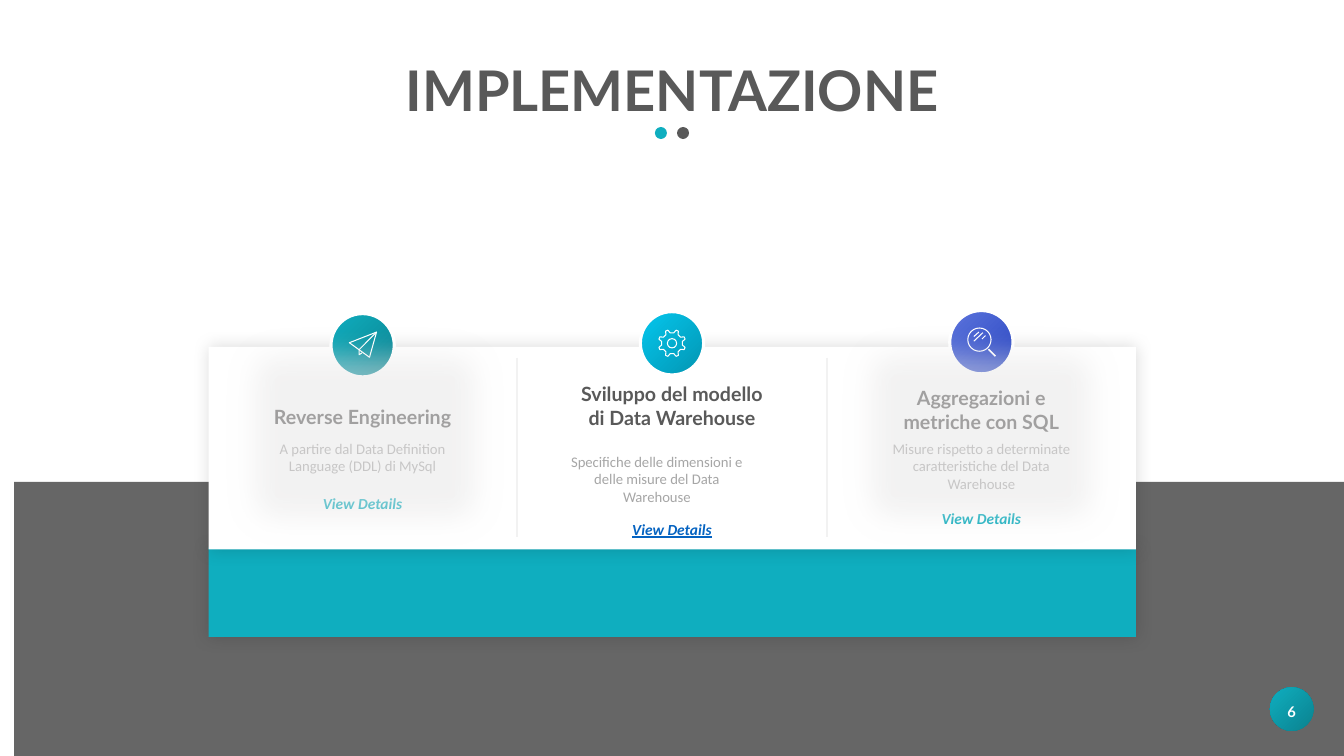
import math
from dataclasses import dataclass

import pptx
import pptx.dml.color
import pptx.enum.shapes
import pptx.enum.text
import pptx.oxml
import pptx.oxml.ns
import pptx.util

Pt = pptx.util.Pt
qn = pptx.oxml.ns.qn
SHAPES = pptx.enum.shapes.MSO_SHAPE
NAMESPACE = 'xmlns:a="http://schemas.openxmlformats.org/drawingml/2006/main"'

TEAL, GREY, WHITE, PALE = "0FAEBF", "595959", "FFFFFF", "A6A6A6"
TEAL_GRADIENT = (TEAL, "0B828F")
SLIDE_CENTRE, COLUMN_PITCH = 480, 221


@dataclass
class Column:
    heading: str
    body: str
    gradient: tuple
    disc_y: float
    heading_top: float
    body_top: float
    link_top: float
    heading_height: float
    body_height: float
    body_shift: float = 0
    active: bool = False


COLUMNS = [
    Column("Reverse Engineering", "A partire dal Data Definition Language (DDL) di MySql",
           TEAL_GRADIENT, 246.6, 285.8, 310.3, 349.2, 24.5, 32.4),
    Column("Sviluppo del modello di Data Warehouse",
           "Specifiche delle dimensioni e delle misure del Data Warehouse",
           ("04C7EE", "0395B2"), 245.2, 269.3, 319.7, 367.9, 58.3, 45.4, -10.8, True),
    Column("Aggregazioni e metriche con SQL",
           "Misure rispetto a determinate caratteristiche del Data Warehouse",
           ("5C74DC", "2946C1"), 244.4, 272.2, 310.3, 360, 58.3, 58.3),
]


def colour(hex_string):
    return pptx.dml.color.RGBColor.from_string(hex_string)


def append_xml(parent, xml):
    parent.append(pptx.oxml.parse_xml(xml))


def add_preset(slide, kind, left, top, width, height, fill=None, opacity=100):
    shape = slide.shapes.add_shape(kind, Pt(left), Pt(top), Pt(width), Pt(height))
    shape.shadow.inherit = False
    shape.line.fill.background()
    if fill:
        shape.fill.solid()
        shape.fill.fore_color.rgb = colour(fill)
        if opacity < 100:
            node = shape.element.spPr.find(qn("a:solidFill"))[0]
            append_xml(node, f'<a:alpha {NAMESPACE} val="{opacity * 1000}"/>')
    else:
        shape.fill.background()
    return shape


def add_circle(slide, x, y, radius, fill=None):
    return add_preset(slide, SHAPES.OVAL, x - radius, y - radius, 2 * radius, 2 * radius, fill)


def add_gradient_disc(slide, x, y, radius, gradient):
    """Draw a disc whose gradient spreads from its upper left corner."""
    disc = add_circle(slide, x, y, radius)
    disc.fill.gradient()
    for stop, position, stop_colour in zip(disc.fill.gradient_stops, (0, 1), gradient):
        stop.position = position
        stop.color.rgb = colour(stop_colour)
    gradient_node = disc.element.spPr.find(qn("a:gradFill"))
    gradient_node.remove(gradient_node.find(qn("a:lin")))
    append_xml(gradient_node, f'<a:path {NAMESPACE} path="circle">'
                              '<a:fillToRect r="100000" b="100000"/></a:path>')
    return disc


def add_effect(shape, xml):
    append_xml(shape.element.spPr.find(qn("a:effectLst")), xml)


def add_glow_shadow(shape):
    add_effect(shape, f'<a:outerShdw {NAMESPACE} blurRad="{Pt(12)}" dist="0" dir="0" '
                      'algn="ctr" rotWithShape="0"><a:srgbClr val="000000">'
                      '<a:alpha val="15000"/></a:srgbClr></a:outerShdw>')


def add_run(paragraph, text, size, font, font_colour, bold=False, italic=False, underline=False):
    paragraph.alignment = pptx.enum.text.PP_ALIGN.CENTER
    run = paragraph.add_run()
    run.text = text
    run.font.size, run.font.name = Pt(size), font
    run.font.bold, run.font.italic, run.font.underline = bold, italic, underline
    run.font.color.rgb = colour(font_colour)


def add_text(slide, centre, top, width, height, text, *style, **emphasis):
    box = slide.shapes.add_textbox(Pt(centre - width / 2), Pt(top), Pt(width), Pt(height))
    box.text_frame.word_wrap = True
    add_run(box.text_frame.paragraphs[0], text, *style, **emphasis)


def add_line(slide, x1, y1, x2, y2, line_colour, width):
    line = slide.shapes.add_connector(pptx.enum.shapes.MSO_CONNECTOR.STRAIGHT,
                                      Pt(x1), Pt(y1), Pt(x2), Pt(y2))
    line.line.color.rgb = colour(line_colour)
    line.line.width = Pt(width)
    append_xml(line.element.spPr, f"<a:effectLst {NAMESPACE}/>")


def stroke_white(shape, width=0.75):
    shape.line.color.rgb = colour(WHITE)
    shape.line.width = Pt(width)


def add_outline(slide, x, y, points, close):
    points = [(Pt(x + dx), Pt(y + dy)) for dx, dy in points]
    builder = slide.shapes.build_freeform(*points[0])
    builder.add_line_segments(points[1:], close=close)
    outline = builder.convert_to_shape()
    outline.shadow.inherit = False
    outline.fill.background()
    stroke_white(outline)


def add_plane(slide, x, y):
    add_outline(slide, x, y, [(10, -9.4), (-9.4, -1.8), (-2.5, 3.2), (5, 8.6)], True)
    add_outline(slide, x, y, [(10, -9.4), (-2.5, 3.2), (-2.5, 6.8), (-0.4, 5.4)], False)


def add_gear(slide, x, y):
    points = []
    for tooth in range(8):
        for offset, radius in ((-13, 7.5), (-5, 9.8), (5, 9.8), (13, 7.5)):
            angle = math.radians(22.5 + 45 * tooth + offset)
            points.append((radius * math.cos(angle), radius * math.sin(angle)))
    add_outline(slide, x, y, points, True)
    stroke_white(add_circle(slide, x, y, 3.3))


def add_magnifier(slide, x, y):
    stroke_white(add_circle(slide, x - 1.4, y - 1.8, 8.3))
    for x1, y1, x2, y2 in ((1.1, -6.8, -5.4, -0.7), (-1.8, -7.2, -5.4, -4),
                           (2.9, -4.7, 0.4, -2.2)):
        add_line(slide, x + x1, y + y1, x + x2, y + y2, WHITE, 0.75)
    add_line(slide, x + 5, y + 5, x + 10, y + 10, WHITE, 1.25)


def add_column_text(slide, column, centre):
    add_text(slide, centre + column.body_shift, column.body_top, 152.6, column.body_height,
             column.body, 10.5, "Calibri", PALE)
    add_text(slide, centre, column.heading_top, 154, column.heading_height,
             column.heading, 14, "Lato", GREY, bold=True)
    add_text(slide, centre, column.link_top, 90, 20.9, "View Details", 11, "Calibri",
             "0563C1" if column.active else TEAL,
             bold=True, italic=True, underline=column.active)


def add_veil(slide, left, top):
    """Fade a column with a translucent, soft-edged panel."""
    veil = add_preset(slide, SHAPES.RECTANGLE, left, top, COLUMN_PITCH, 179.6, "E7E6E6", 51)
    add_effect(veil, f'<a:softEdge {NAMESPACE} rad="{Pt(25)}"/>')


def format_title(title):
    title.left, title.top, title.width, title.height = Pt(99.5), Pt(43.9), Pt(761), Pt(46)
    title.text_frame.vertical_anchor = pptx.enum.text.MSO_ANCHOR.MIDDLE
    paragraph = title.text_frame.paragraphs[0]
    paragraph.line_spacing = 0.9
    add_run(paragraph, "IMPLEMENTAZIONE", 40, "Lato", GREY, bold=True)


def main():
    presentation = pptx.Presentation()
    presentation.slide_width, presentation.slide_height = Pt(960), Pt(540)
    slide = presentation.slides.add_slide(presentation.slide_layouts[5])
    format_title(slide.shapes.title)
    for side, dot_colour in ((-1, TEAL), (1, GREY)):
        add_circle(slide, SLIDE_CENTRE + 7.9 * side, 95, 4.3, dot_colour)

    add_preset(slide, SHAPES.RECTANGLE, 10.1, 344.2, 960, 195.8, "404040", 80)
    for top, height, fill in ((391, 64, TEAL), (247.7, 144.7, WHITE)):
        add_glow_shadow(add_preset(slide, SHAPES.RECTANGLE, 149, top, 662.4, height, fill))
    for side in (-1, 1):
        x = SLIDE_CENTRE + side * COLUMN_PITCH / 2
        add_line(slide, x, 255.6, x, 383.8, "F2F2F2", 1.25)

    for index, (column, add_icon) in enumerate(zip(COLUMNS, (add_plane, add_gear, add_magnifier))):
        centre = SLIDE_CENTRE + (index - 1) * COLUMN_PITCH
        add_column_text(slide, column, centre)
        disc = add_gradient_disc(slide, centre, column.disc_y, 22.6, column.gradient)
        stroke_white(disc, 2.25)
        add_icon(slide, centre, column.disc_y)

    add_gradient_disc(slide, 922.7, 506.5, 15.6, TEAL_GRADIENT)
    add_text(slide, 922.7, 498.2, 45.4, 20.2, "6", 10.5, "Lato", WHITE, bold=True)
    add_veil(slide, 150.5, 222.5)
    add_veil(slide, 590.4, 221.8)
    presentation.save("out.pptx")


if __name__ == "__main__":
    main()
